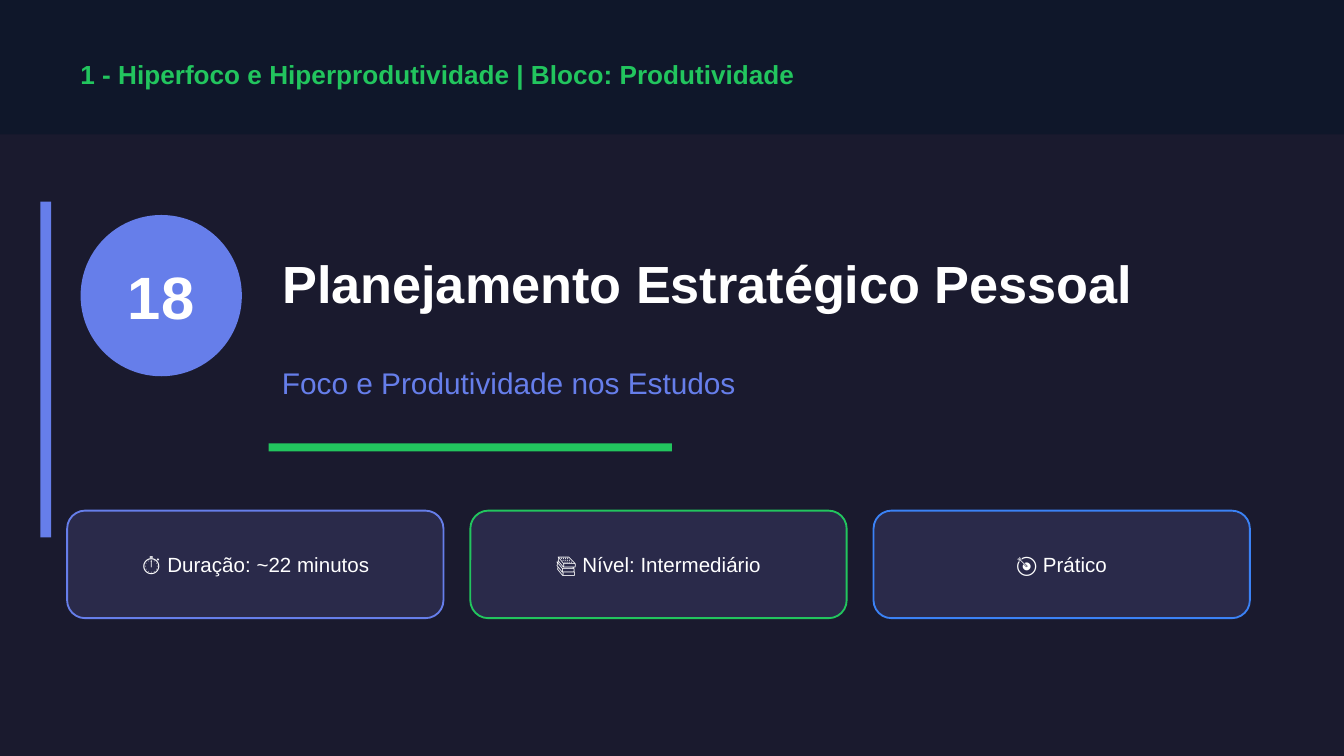
from dataclasses import dataclass

from pptx import Presentation, util as u
from pptx.dml.color import RGBColor
from pptx.enum import shapes, text

PX = u.Inches(1) // 200  # 200 px to the inch
FONT = "Arial"
COLORS = {
    "background": "1A1A2E",
    "header": "0F172A",
    "card": "2A2A4A",
    "indigo": "667EEA",
    "green": "22C55E",
    "blue": "3B82F6",
    "white": "FFFFFF",
}
SHAPE = shapes.MSO_SHAPE
ALIGN = text.PP_ALIGN


@dataclass
class Box:
    x: int
    y: int
    w: int
    h: int

    def emu(self) -> tuple:
        return tuple(v * PX for v in (self.x, self.y, self.w, self.h))


@dataclass
class Card:
    label: str
    border: str


def rgb(name: str) -> RGBColor:
    return RGBColor.from_string(COLORS[name])


def write(sp, content: str, *, size: int, color: str = "white",
          bold: bool = False, align=ALIGN.LEFT) -> None:
    tf = sp.text_frame
    tf.word_wrap = True
    tf.auto_size = text.MSO_AUTO_SIZE.NONE
    tf.vertical_anchor = text.MSO_ANCHOR.MIDDLE
    p = tf.paragraphs[0]
    p.alignment = align
    r = p.add_run()
    r.text = content
    r.font.name, r.font.size, r.font.bold = FONT, u.Pt(size), bold
    r.font.color.rgb = rgb(color)


def add_shape(s, kind, box: Box, fill: str, line: str = "") -> None:
    sp = s.shapes.add_shape(kind, *box.emu())
    sp.shadow.inherit = False
    sp.fill.solid()
    sp.fill.fore_color.rgb = rgb(fill)
    if line:
        sp.line.color.rgb = rgb(line)
        sp.line.width = u.Pt(1)
    else:
        sp.line.fill.background()


def add_text(s, box: Box, content: str, **style) -> None:
    write(s.shapes.add_textbox(*box.emu()), content, **style)


def add_cards(s, cards: list[Card], first: Box, gap: int) -> None:
    for i, card in enumerate(cards):
        x = first.x + i * (first.w + gap)
        add_shape(s, SHAPE.ROUNDED_RECTANGLE, Box(x, first.y, first.w, first.h),
                  "card", card.border)
        add_text(s, Box(x, first.y + 30, first.w, 100), card.label,
                 size=11, align=ALIGN.CENTER)


def main() -> None:
    prs = Presentation()
    prs.slide_width, prs.slide_height = 2000 * PX, 1125 * PX
    s = prs.slides.add_slide(prs.slide_layouts[5])
    s.background.fill.solid()
    s.background.fill.fore_color.rgb = rgb("background")

    # Header band
    add_shape(s, SHAPE.RECTANGLE, Box(0, 0, 2000, 200), "header")
    add_text(s, Box(100, 70, 1800, 80),
             "1 - Hiperfoco e Hiperprodutividade | Bloco: Produtividade",
             size=14, color="green", bold=True)

    # Side bar and lesson number
    add_shape(s, SHAPE.RECTANGLE, Box(60, 300, 16, 500), "indigo")
    add_shape(s, SHAPE.OVAL, Box(120, 320, 240, 240), "indigo")
    add_text(s, Box(120, 370, 240, 140), "18",
             size=32, bold=True, align=ALIGN.CENTER)

    # Title, subtitle and underline
    title = s.shapes.title
    title.left, title.top, title.width, title.height = Box(400, 320, 1500, 200).emu()
    write(title, "Planejamento Estratégico Pessoal", size=28, bold=True)
    add_text(s, Box(400, 520, 1500, 100), "Foco e Produtividade nos Estudos",
             size=16, color="indigo")
    add_shape(s, SHAPE.RECTANGLE, Box(400, 660, 600, 12), "green")

    # Information cards
    cards = [
        Card("⏱ Duração: ~22 minutos", "indigo"),
        Card("📚 Nível: Intermediário", "green"),
        Card("🎯 Prático", "blue"),
    ]
    add_cards(s, cards, Box(100, 760, 560, 160), gap=40)

    prs.save("out.pptx")


if __name__ == "__main__":
    main()
